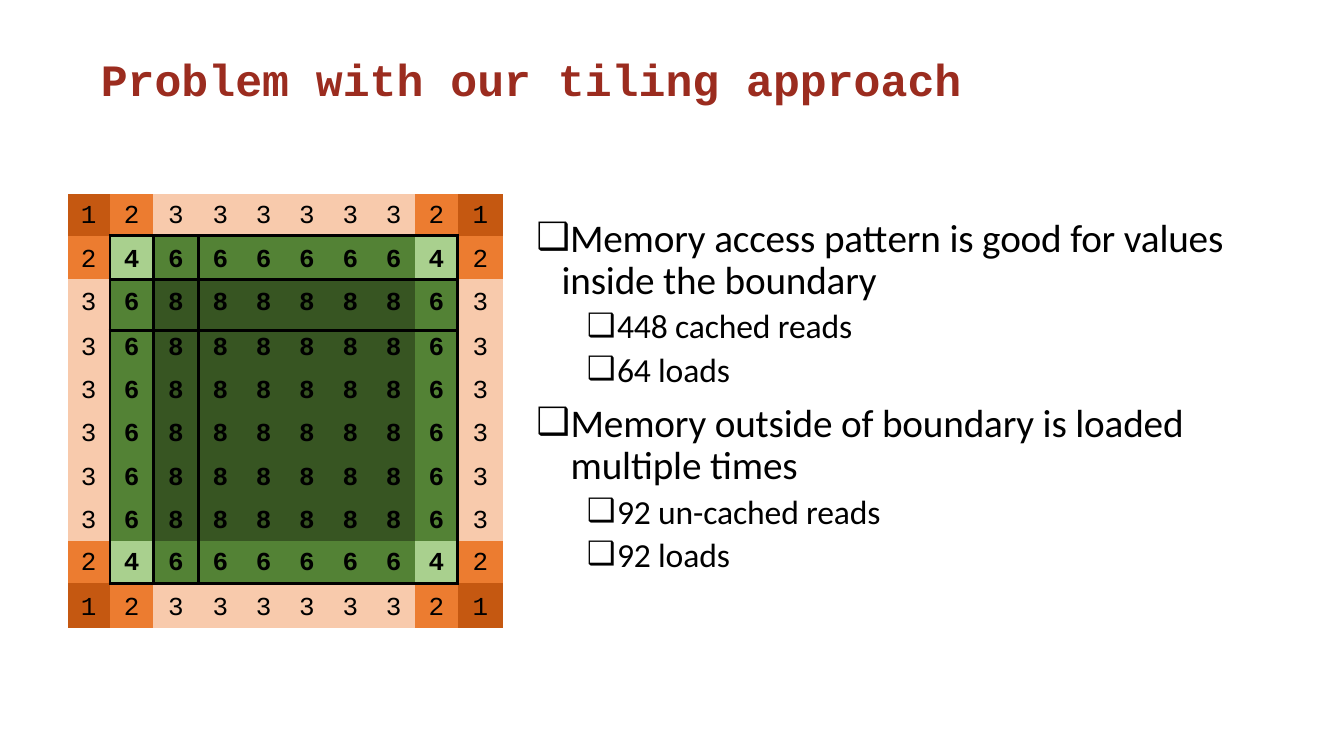
"""Build the slide about the read counts of a tiled memory block."""
import dataclasses

import lxml.etree
import pptx
import pptx.dml.color
import pptx.enum.text
import pptx.oxml.ns
import pptx.presentation
import pptx.shapes.autoshape
import pptx.slide
import pptx.table
import pptx.text.text
import pptx.util

Inches = pptx.util.Inches
Pt = pptx.util.Pt
qn = pptx.oxml.ns.qn


@dataclasses.dataclass(frozen=True)
class Theme:
    """Colours, fonts and type sizes of the slide."""

    title: str = "9B2C1F"
    ink: str = "000000"
    code_font: str = "Courier New"
    body_font: str = "Calibri"
    title_size: float = 32
    bullet_sizes: tuple[float, float] = (28, 24)
    cell_size: float = 18.5
    border_width: float = 2.25
    tracking: float = -0.1


@dataclasses.dataclass(frozen=True)
class Bullet:
    """One list paragraph with its level, spacing and indents."""

    text: str
    level: int
    space_before: float
    left: float = 0.81
    hanging: float = 0.3
    tab: float = 0.81


@dataclasses.dataclass(frozen=True)
class TableRow:
    """Height and top margin of one table row."""

    height: float
    margin_top: float


THEME = Theme()
READ_FILLS = {
    1: "C55811",
    2: "EC7C30",
    3: "F8CAAC",
    4: "A9D08E",
    6: "538235",
    8: "375522",
}
REACH = (1, 2, 3, 3, 3, 3, 3, 3, 2, 1)
MAXIMUM_READS = 8
COLUMN_WIDTHS = (0.42, 0.43, 0.45, 0.43, 0.43, 0.43, 0.43, 0.43, 0.42, 0.45)
TABLE_ROWS = (
    TableRow(0.42, 0.08),
    TableRow(0.43, 0.1),
    TableRow(0.51, 0.1),
    *[TableRow(0.43, 0.03)] * 4,
    TableRow(0.37, 0.03),
    TableRow(0.42, 0.08),
    TableRow(0.44, 0.1),
)
TILE = range(1, 9)
TILE_LINES = (1, 2, 9)
NO_STYLE = "{2D5ABB26-0587-4C30-8999-92F81FD0307C}"
BULLETS = (
    Bullet("Memory access pattern is good for values inside the boundary", 0, 4.8, 0.26, 0.25, 0.36),
    Bullet("448 cached reads", 1, 2),
    Bullet("64 loads", 1, 2.2),
    Bullet("Memory outside of boundary is loaded multiple times", 0, 10.2, 0.35, 0.34, 0.36),
    Bullet("92 un-cached reads", 1, 2),
    Bullet("92 loads", 1, 2),
)


def format_font(
    paragraph: pptx.text.text._Paragraph, name: str, size: float, color: str, bold: bool
) -> None:
    """Set the font of a whole paragraph."""
    font = paragraph.font
    font.name, font.size, font.bold = name, Pt(size), bold
    font.color.rgb = pptx.dml.color.RGBColor.from_string(color)


def place_text(
    shape: pptx.shapes.autoshape.Shape,
    left: float,
    top: float,
    width: float,
    height: float,
    margin_top: float,
) -> pptx.text.text.TextFrame:
    """Move a placeholder and return its prepared text frame."""
    shape.left, shape.top = Inches(left), Inches(top)
    shape.width, shape.height = Inches(width), Inches(height)
    frame = shape.text_frame
    frame.margin_left = frame.margin_right = frame.margin_bottom = 0
    frame.margin_top = Inches(margin_top)
    frame.vertical_anchor = pptx.enum.text.MSO_ANCHOR.TOP
    frame.auto_size = pptx.enum.text.MSO_AUTO_SIZE.NONE
    frame.word_wrap = True
    return frame


def add_title(slide: pptx.slide.Slide) -> None:
    """Fill the title placeholder."""
    frame = place_text(slide.shapes.title, 1, 0.44, 8.9, 0.58, 0.07)
    paragraph = frame.paragraphs[0]
    paragraph.text = "Problem with our tiling approach"
    paragraph.alignment = pptx.enum.text.PP_ALIGN.LEFT
    format_font(paragraph, THEME.code_font, THEME.title_size, THEME.title, True)


def format_bullet(paragraph: pptx.text.text._Paragraph, bullet: Bullet) -> None:
    """Write one bullet with its marker, indents and font."""
    paragraph.text = bullet.text
    paragraph.level = bullet.level
    paragraph.space_before = Pt(bullet.space_before)
    if bullet.level == 0:
        paragraph.line_spacing = Pt(30.2)
    properties = paragraph._p.get_or_add_pPr()
    properties.set("marL", str(Inches(bullet.left)))
    properties.set("indent", str(-Inches(bullet.hanging)))
    lxml.etree.SubElement(properties, qn("a:buSzPct"), val="96000")
    lxml.etree.SubElement(properties, qn("a:buChar"), char="❑")
    tabs = lxml.etree.SubElement(properties, qn("a:tabLst"))
    lxml.etree.SubElement(tabs, qn("a:tab"), pos=str(Inches(bullet.tab)), algn="l")
    format_font(paragraph, THEME.body_font, THEME.bullet_sizes[bullet.level], THEME.ink, False)
    properties.find(qn("a:defRPr")).set("spc", str(round(THEME.tracking * 100)))


def add_bullets(slide: pptx.slide.Slide) -> None:
    """Fill the body placeholder with the list."""
    frame = place_text(slide.placeholders[1], 5.31, 2.09, 6.93, 3.62, 0.07)
    for index, bullet in enumerate(BULLETS):
        paragraph = frame.add_paragraph() if index else frame.paragraphs[0]
        format_bullet(paragraph, bullet)


def cell_borders(row: int, column: int) -> list[str]:
    """List the border tags of a cell that lie on the tile lines."""
    sides = {
        "a:lnL": row in TILE and column in TILE_LINES,
        "a:lnR": row in TILE and column + 1 in TILE_LINES,
        "a:lnT": column in TILE and row in TILE_LINES,
        "a:lnB": column in TILE and row + 1 in TILE_LINES,
    }
    return [tag for tag, drawn in sides.items() if drawn]


def format_cell(cell: pptx.table._Cell, row: int, column: int) -> None:
    """Write the read count of a cell with its borders and fill."""
    reads = min(MAXIMUM_READS, REACH[row] * REACH[column])
    cell.margin_left = cell.margin_right = cell.margin_bottom = 0
    cell.margin_top = Inches(TABLE_ROWS[row].margin_top)
    properties = cell._tc.get_or_add_tcPr()
    for tag in cell_borders(row, column):
        line = lxml.etree.SubElement(properties, qn(tag), w=str(Pt(THEME.border_width)))
        fill = lxml.etree.SubElement(line, qn("a:solidFill"))
        lxml.etree.SubElement(fill, qn("a:srgbClr"), val=THEME.ink)
    cell.fill.solid()
    cell.fill.fore_color.rgb = pptx.dml.color.RGBColor.from_string(READ_FILLS[reads])
    paragraph = cell.text_frame.paragraphs[0]
    paragraph.text = str(reads)
    paragraph.alignment = pptx.enum.text.PP_ALIGN.CENTER
    in_tile = row in TILE and column in TILE
    format_font(paragraph, THEME.code_font, THEME.cell_size, THEME.ink, in_tile)


def add_read_table(slide: pptx.slide.Slide) -> None:
    """Add the grid of read counts."""
    frame = slide.shapes.add_table(
        len(TABLE_ROWS), len(COLUMN_WIDTHS), Inches(0.67), Inches(1.92), Inches(4.34), Inches(4.34)
    )
    table = frame.table
    table.first_row = table.horz_banding = False
    table._tbl.tblPr.find(qn("a:tableStyleId")).text = NO_STYLE
    for column, width in enumerate(COLUMN_WIDTHS):
        table.columns[column].width = Inches(width)
    for row, table_row in enumerate(TABLE_ROWS):
        table.rows[row].height = Inches(table_row.height)
        for column in range(len(COLUMN_WIDTHS)):
            format_cell(table.cell(row, column), row, column)


def main() -> None:
    """Build and save the presentation."""
    presentation = pptx.Presentation()
    presentation.slide_width, presentation.slide_height = Inches(13.33), Inches(7.5)
    slide = presentation.slides.add_slide(presentation.slide_layouts[1])
    add_title(slide)
    add_bullets(slide)
    add_read_table(slide)
    presentation.save("out.pptx")


if __name__ == "__main__":
    main()
